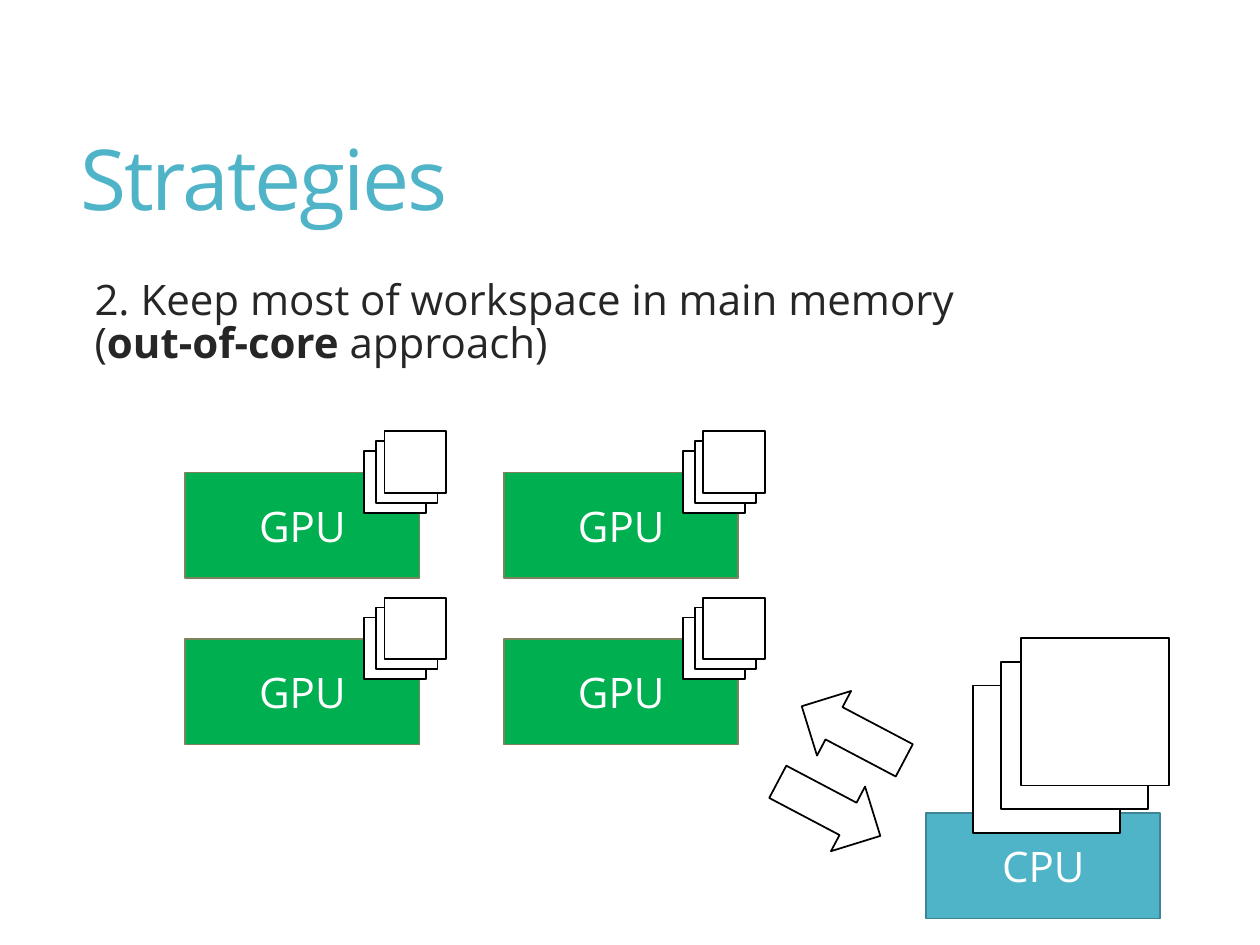
from itertools import product

from pptx import Presentation
from pptx.dml.color import RGBColor
from pptx.enum.shapes import MSO_SHAPE as SHAPE
from pptx.enum.text import MSO_ANCHOR as ANCHOR, PP_ALIGN as ALIGN
from pptx.util import Inches, Pt

COLORS = {
    "accent": "50B4C8", "accent_edge": "3B8594", "gpu": "00B050",
    "gpu_edge": "7A855D", "text": "262626", "white": "FFFFFF", "black": "000000",
}
FONT = "Open Sans"
STACK_STEPS = [(0, 0), (0.19, -0.16), (0.33, -0.32)]


def color(name):
    """Return the named colour."""
    return RGBColor.from_string(COLORS[name])


def add_span(para, text, size, tint, bold=False):
    """Add a formatted run to a paragraph."""
    span = para.add_run()
    span.text = text
    for name, value in {"name": FONT, "size": Pt(size), "bold": bold}.items():
        setattr(span.font, name, value)
    span.font.color.rgb = color(tint)
    return span


def add_text_box(page, left, top, width, height, **frame_format):
    """Add a wrapping text box and return its first paragraph."""
    box = page.shapes.add_textbox(*map(Inches, (left, top, width, height)))
    for name, value in {"word_wrap": True, **frame_format}.items():
        setattr(box.text_frame, name, value)
    return box.text_frame.paragraphs[0]


def add_figure(shapes, kind, left, top, width, height, fill="white", edge="black"):
    """Add a filled and outlined preset shape."""
    figure = shapes.add_shape(kind, *map(Inches, (left, top, width, height)))
    figure.shadow.inherit = False
    figure.fill.solid()
    figure.fill.fore_color.rgb = color(fill)
    figure.line.color.rgb = color(edge)
    figure.line.width = Pt(1)
    return figure


def add_processor(page, label, left, top, fill, edge):
    """Add a labelled processor block."""
    block = add_figure(page.shapes, SHAPE.RECTANGLE, left, top, 1.86, 0.84, fill, edge)
    block.text_frame.vertical_anchor = ANCHOR.MIDDLE
    para = block.text_frame.paragraphs[0]
    para.alignment = ALIGN.CENTER
    add_span(para, label, 24, "white")


def add_stack(page, left, top, size):
    """Add a group of overlapping memory sheets, rising to the right."""
    group = page.shapes.add_group_shape()
    for across, down in STACK_STEPS:
        add_figure(group.shapes, SHAPE.RECTANGLE,
                   left + across * size, top + down * size, size, size)


def add_arrow(page, left, top, rotation):
    """Add a rotated transfer arrow."""
    arrow = add_figure(page.shapes, SHAPE.UP_ARROW, left, top, 0.58, 0.92)
    arrow.rotation = rotation


def add_title(page):
    """Add the slide title."""
    para = add_text_box(page, 0.54, 0.55, 8.84, 1.81, vertical_anchor=ANCHOR.MIDDLE)
    para.line_spacing = 0.9
    span = add_span(para, "Strategies", 48, "accent")
    span.font._element.set("spc", "-120")


def add_statement(page):
    """Add the statement of the strategy."""
    para = add_text_box(page, 0.55, 2.18, 8.82, 4.12, margin_left=Inches(0.2))
    para.line_spacing = 0.85
    para.space_before = Pt(13)
    add_span(para, "2. Keep most of workspace in main memory", 24, "text")
    para.add_line_break()
    add_span(para, "(", 24, "text")
    add_span(para, "out-of-core", 24, "text", bold=True)
    add_span(para, " approach)", 24, "text")


def main():
    """Build and save the slide."""
    deck = Presentation()
    deck.slide_width, deck.slide_height = Inches(10), Inches(7.5)
    page = deck.slides.add_slide(deck.slide_layouts[6])
    add_title(page)
    add_statement(page)
    for top, left in product((3.75, 5.07), (1.47, 4)):
        add_processor(page, "GPU", left, top, "gpu", "gpu_edge")
        add_stack(page, left + 1.42, top - 0.17, 0.49)
    add_processor(page, "CPU", 7.35, 6.45, "accent", "accent_edge")
    add_stack(page, 7.72, 5.44, 1.17)
    add_arrow(page, 6.48, 5.36, 297.8)
    add_arrow(page, 6.29, 5.96, 117.8)
    deck.save("out.pptx")


if __name__ == "__main__":
    main()
